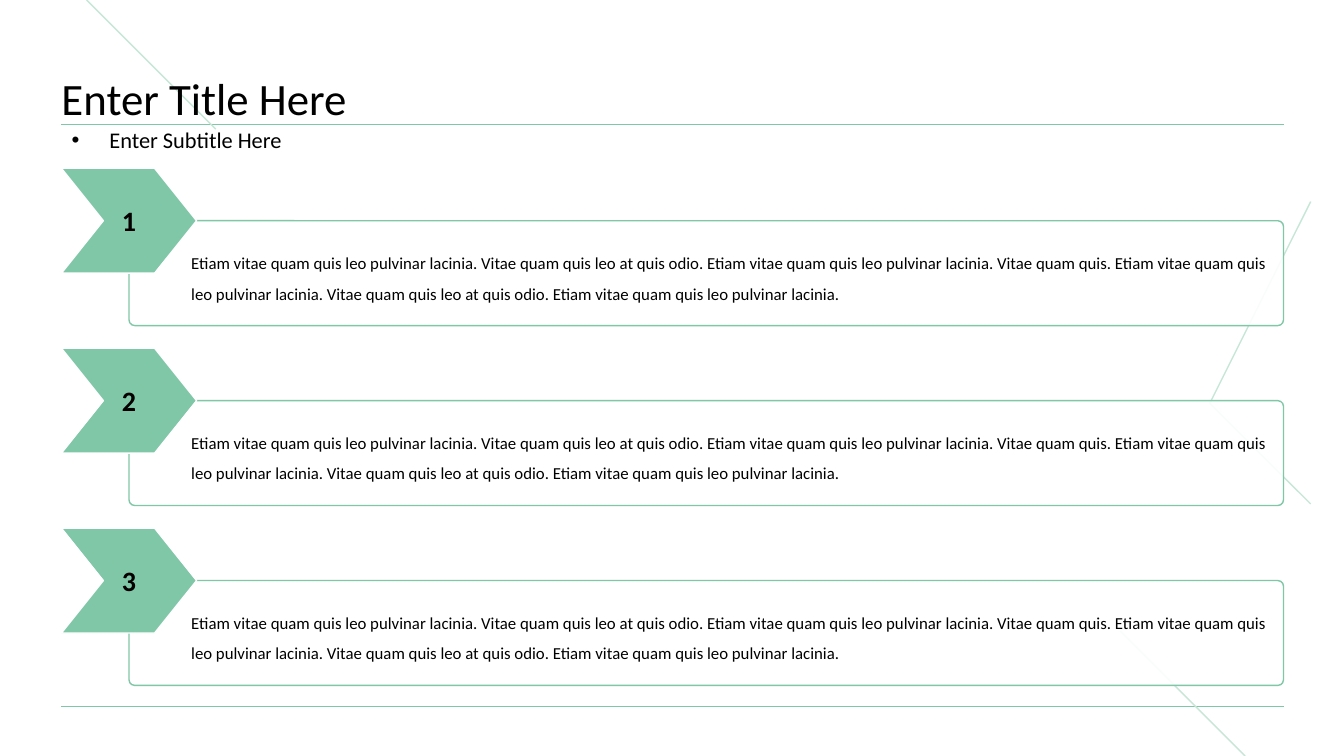
from lxml import etree
from pptx import Presentation
from pptx import util as u
from pptx.dml.color import RGBColor
from pptx.enum import shapes, text
from pptx.oxml.ns import qn

COLORS = {"green": "80C7A7", "pale": "C6E6D7", "white": "FFFFFF", "black": "000000"}
FONT = "Calibri"
LEFT, WIDTH = 0.61, 12.12
RIGHT = LEFT + WIDTH
ROW_TOP, ROW_STEP, ROW_HEIGHT = 1.67, 1.785, 1.04
CHEVRON_WIDTH = 1.34
BODY = (
    "Etiam vitae quam quis leo pulvinar lacinia. Vitae quam quis leo at quis odio. "
    "Etiam vitae quam quis leo pulvinar lacinia. Vitae quam quis. "
    "Etiam vitae quam quis leo pulvinar lacinia. Vitae quam quis leo at quis odio. "
    "Etiam vitae quam quis leo pulvinar lacinia."
)


def color(name):
    return RGBColor.from_string(COLORS[name])


def inches(*values):
    return [u.Inches(value) for value in values]


def set_line(shape, name, width):
    shape.line.color.rgb = color(name)
    shape.line.width = u.Pt(width)


def add_line(page, start, end, name, width):
    line = page.shapes.add_connector(
        shapes.MSO_CONNECTOR.STRAIGHT, *inches(*start, *end))
    set_line(line, name, width)
    etree.SubElement(line._element.spPr, qn("a:effectLst"))


def add_angle(page):
    builder = page.shapes.build_freeform(13.32, 2.47, scale=u.Inches(1))
    builder.add_line_segments([(12.04, 3.75), (13.32, 5.03)], close=False)
    angle = builder.convert_to_shape()
    angle.fill.background()
    angle.shadow.inherit = False
    set_line(angle, "pale", 1)


def write(shape, words, size, anchor, align, margins, spacing=1.0, bold=False):
    frame = shape.text_frame
    frame.text = words
    frame.word_wrap = True
    frame.auto_size = text.MSO_AUTO_SIZE.NONE
    frame.vertical_anchor = anchor
    (frame.margin_left, frame.margin_top,
     frame.margin_right, frame.margin_bottom) = inches(*margins)
    para = frame.paragraphs[0]
    para.alignment = align
    para.line_spacing = spacing
    para.space_before = u.Pt(0)
    font = para.runs[0].font
    font.name = FONT
    font.size = u.Pt(size)
    font.bold = bold
    font.color.rgb = color("black")


def place_placeholder(page, box, words, place, size, anchor, margins):
    box.left, box.top, box.width, box.height = inches(*place)
    page.shapes._spTree.append(box._element)
    properties = box.text_frame.paragraphs[0]._p.get_or_add_pPr()
    properties.set("marL", "0")
    properties.set("indent", "0")
    etree.SubElement(properties, qn("a:buNone"))
    write(box, words, size, anchor, text.PP_ALIGN.LEFT, margins, 0.9)


def add_block(page, kind, place, adjustment, fill, line):
    block = page.shapes.add_shape(kind, *inches(*place))
    block.adjustments[0] = adjustment
    block.shadow.inherit = False
    block.fill.solid()
    block.fill.fore_color.rgb = color(fill)
    set_line(block, line, 1)
    return block


def add_row(page, index):
    top = ROW_TOP + index * ROW_STEP
    panel_left = LEFT + CHEVRON_WIDTH / 2
    panel = add_block(
        page, shapes.MSO_SHAPE.ROUNDED_RECTANGLE,
        (panel_left, top + ROW_HEIGHT / 2, RIGHT - panel_left, ROW_HEIGHT),
        0.054, "white", "green")
    fill_color = panel._element.spPr.find(qn("a:solidFill"))[0]
    etree.SubElement(fill_color, qn("a:alpha"), val="90000")
    write(panel, BODY, 12, text.MSO_ANCHOR.MIDDLE, text.PP_ALIGN.LEFT,
          (0.6, 0.1, 0.1, 0.1), 1.5)
    chevron = add_block(
        page, shapes.MSO_SHAPE.CHEVRON, (LEFT, top, CHEVRON_WIDTH, ROW_HEIGHT),
        0.4, "green", "white")
    write(chevron, str(index + 1), 20, text.MSO_ANCHOR.MIDDLE,
          text.PP_ALIGN.CENTER, (0.1, 0.05, 0.1, 0.05), bold=True)


def main():
    deck = Presentation()
    deck.slide_width, deck.slide_height = inches(13.33, 7.5)
    page = deck.slides.add_slide(deck.slide_layouts[1])
    title, subtitle = page.placeholders

    for height in (7.01, 1.23):
        add_line(page, (LEFT, height), (RIGHT, height), "green", 0.5)
    add_line(page, (11.11, 6.26), (12.35, 7.5), "pale", 1)
    add_line(page, (0.86, 0), (2.14, 1.28), "pale", 1)
    add_angle(page)

    place_placeholder(page, title, "Enter Title Here", (LEFT, 0.44, WIDTH, 0.8),
                      32, text.MSO_ANCHOR.BOTTOM, (0, 0, 0, 0))
    place_placeholder(page, subtitle, "Enter Subtitle Here", (LEFT, 1.23, WIDTH, 0.34),
                      16, text.MSO_ANCHOR.MIDDLE, (0.1, 0.05, 0.1, 0.05))
    for index in range(3):
        add_row(page, index)

    deck.save("out.pptx")


if __name__ == "__main__":
    main()
